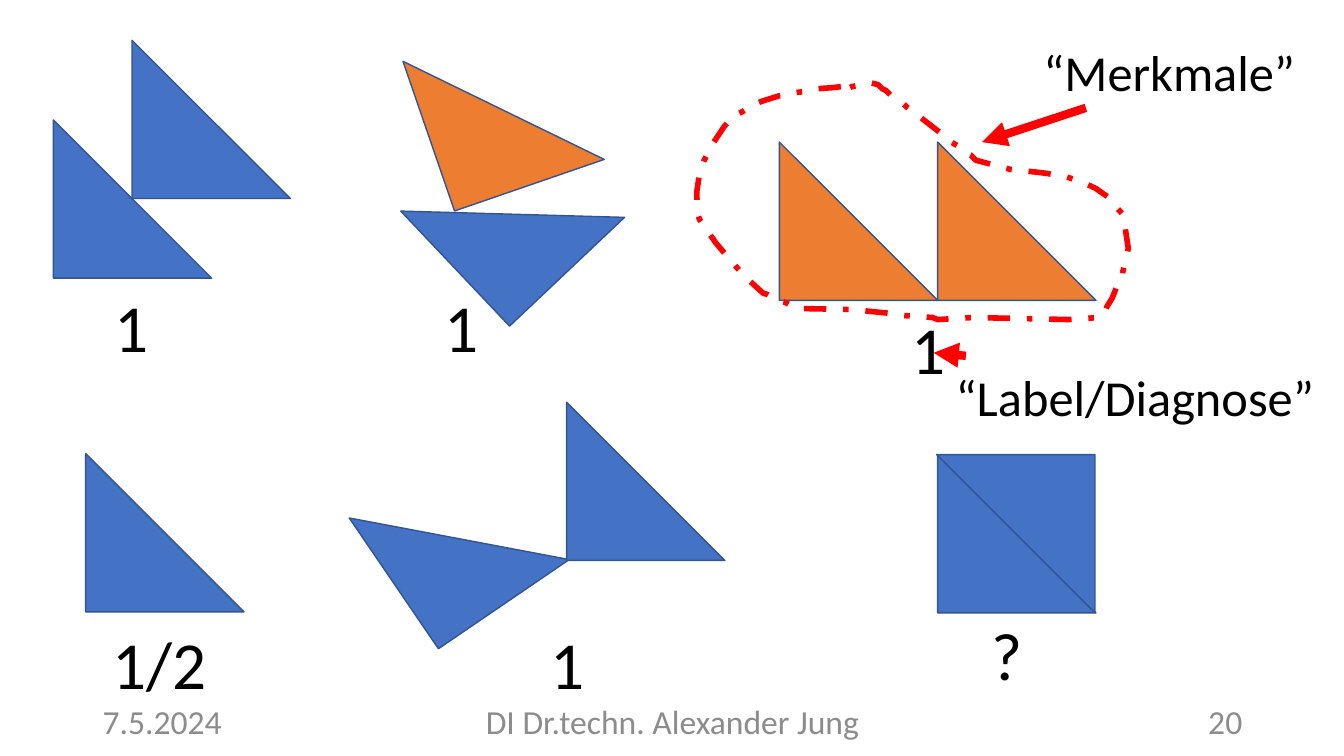
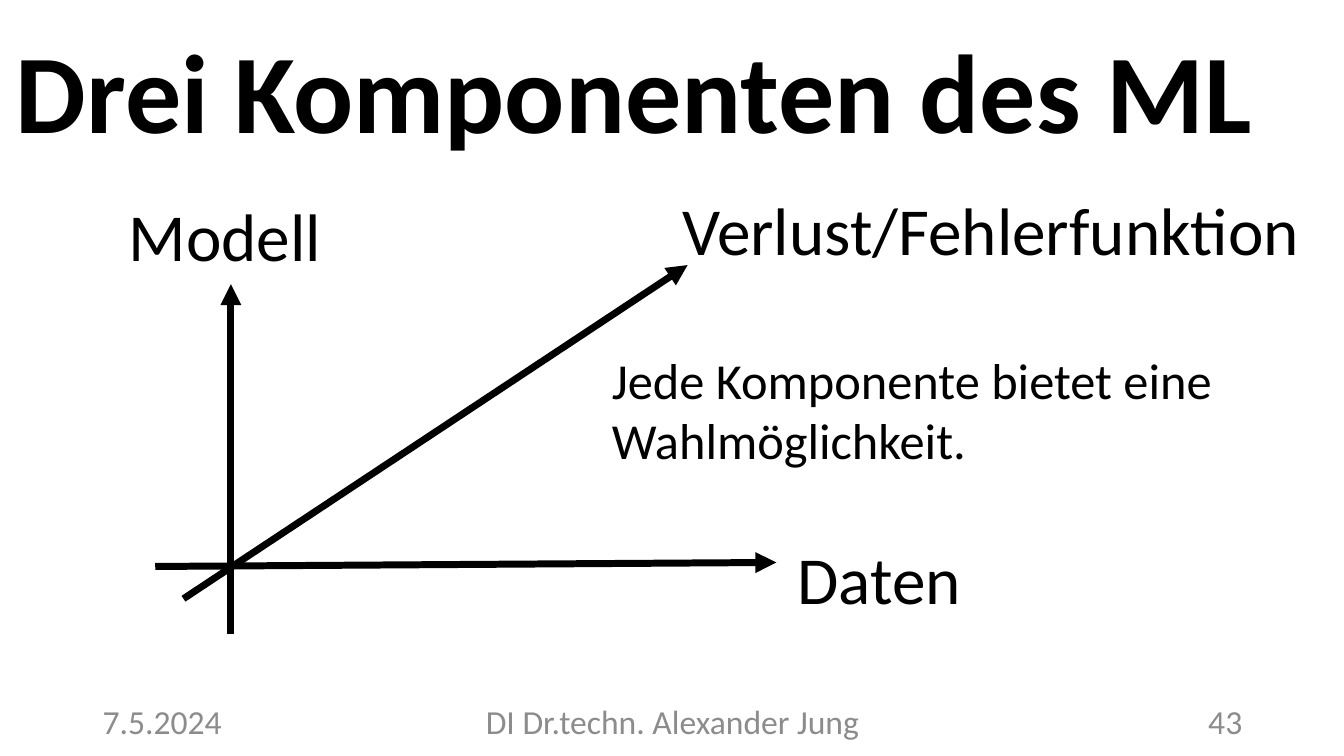
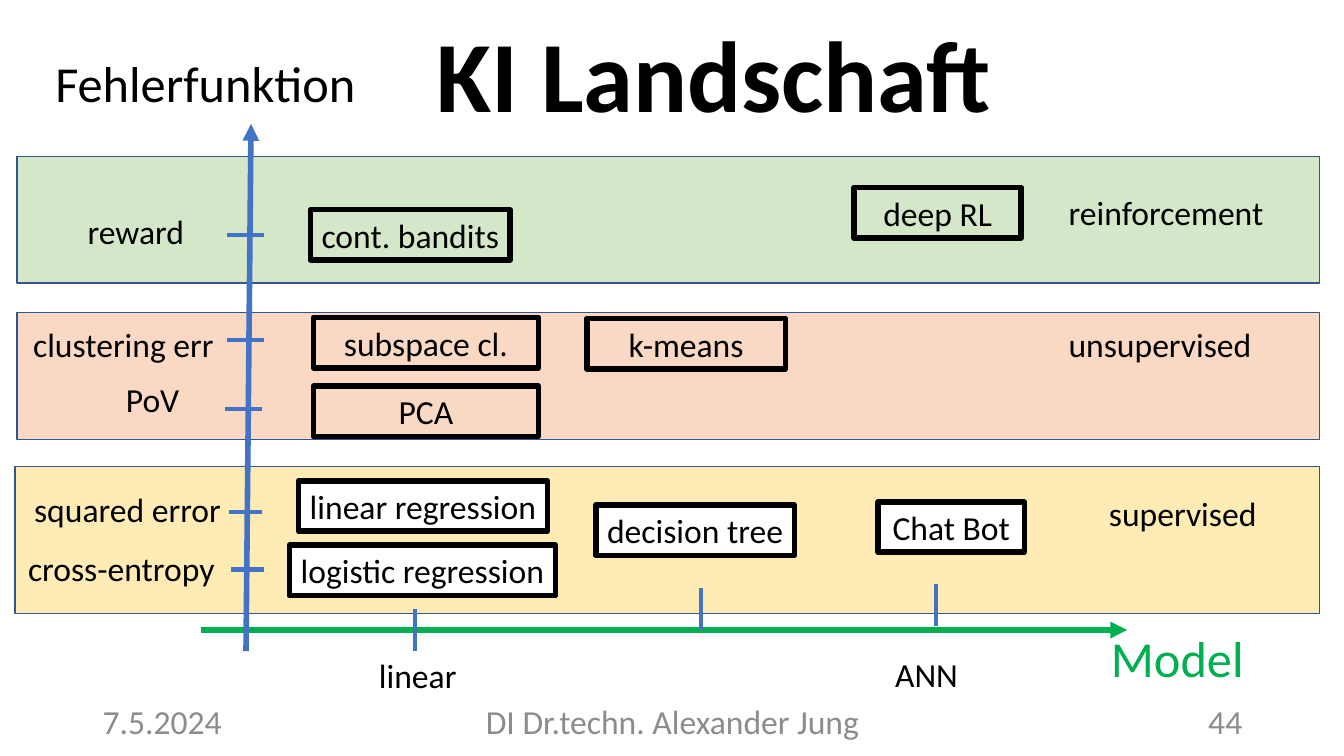
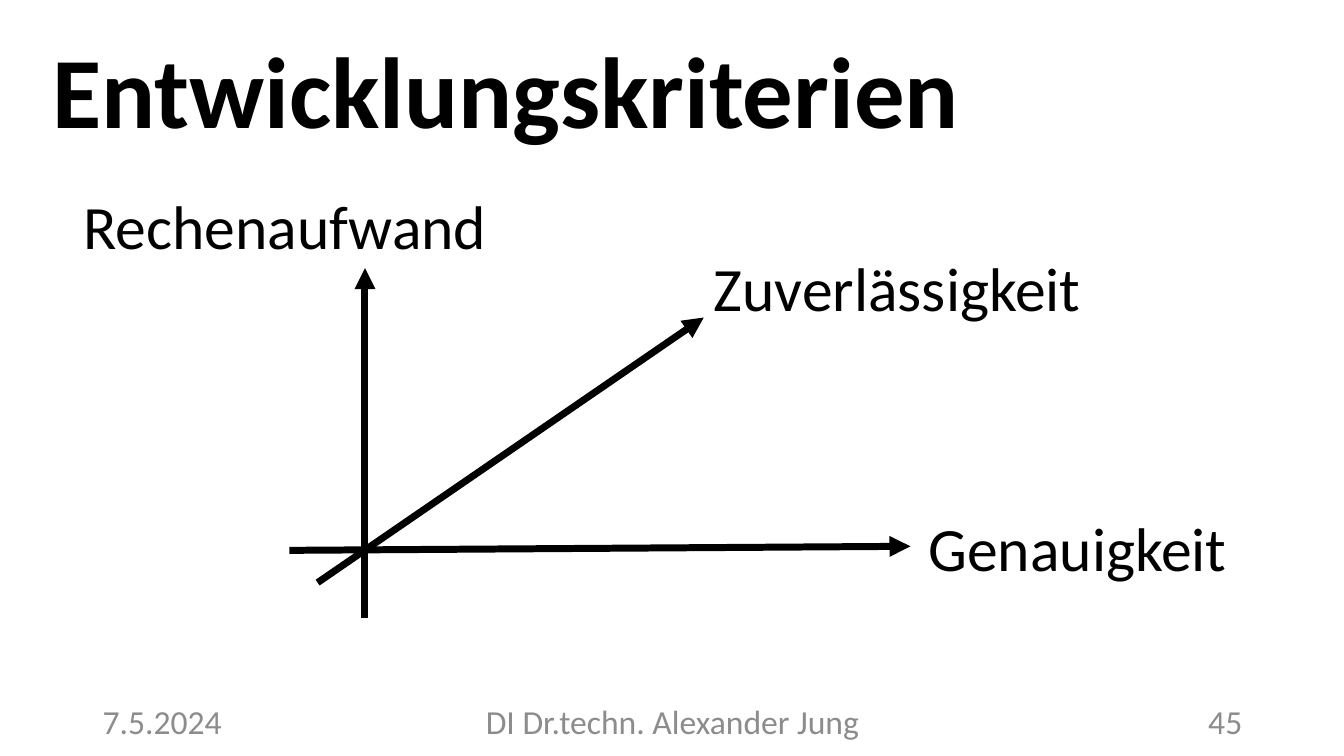
from lxml.etree import SubElement
from pptx import Presentation
from pptx.dml.color import RGBColor
from pptx.enum.dml import MSO_LINE
from pptx.enum.shapes import MSO_CONNECTOR, MSO_SHAPE
from pptx.enum.text import MSO_ANCHOR, MSO_AUTO_SIZE, PP_ALIGN
from pptx.oxml.ns import qn
from pptx.util import Pt

PX = 9144
FONT = "Calibri"
BLACK, WHITE, GRAY = "000000", "FFFFFF", "8C8C8C"
BLUE, ORANGE, EDGE = "4472C4", "ED7D31", "325491"
RED, GREEN = "FF0000", "00B050"
LEFT, CENTER, RIGHT = PP_ALIGN.LEFT, PP_ALIGN.CENTER, PP_ALIGN.RIGHT
TOP, MIDDLE = MSO_ANCHOR.TOP, MSO_ANCHOR.MIDDLE
GROW, FIXED = MSO_AUTO_SIZE.SHAPE_TO_FIT_TEXT, MSO_AUTO_SIZE.NONE
RECT, TRIANGLE = MSO_SHAPE.RECTANGLE, MSO_SHAPE.RIGHT_TRIANGLE
STRAIGHT, DASHDOT = MSO_CONNECTOR.STRAIGHT, MSO_LINE.DASH_DOT
SIDE = 157

CLOUD = [
    (834, 86), (825, 87), (811, 88), (804, 90), (788, 92), (784, 94),
    (773, 95), (757, 100), (749, 103), (736, 111), (727, 115), (718, 126),
    (706, 144), (698, 160), (696, 165), (694, 171), (691, 191), (692, 213),
    (694, 218), (710, 241), (721, 254), (740, 276), (745, 280), (757, 291),
    (761, 292), (768, 296), (772, 298), (779, 300), (784, 303), (788, 306),
    (844, 307), (884, 311), (896, 313), (925, 315), (930, 317), (965, 315),
    (1060, 317), (1090, 315), (1096, 309), (1098, 304), (1103, 296),
    (1107, 286), (1108, 282), (1113, 273), (1114, 268), (1115, 264),
    (1117, 257), (1118, 253), (1119, 246), (1114, 213), (1104, 202),
    (1100, 196), (1094, 192), (1087, 187), (1072, 180), (1056, 175),
    (1038, 172), (1030, 171), (1002, 168), (968, 159), (963, 154),
    (958, 152), (952, 146), (942, 140), (933, 132), (906, 111), (899, 106),
    (895, 102), (888, 98), (883, 94), (879, 90), (875, 88), (871, 84),
    (863, 82), (845, 86), (840, 88),
]


def rgb(code):
    """Turn a hex string into a colour."""
    return RGBColor.from_string(code)


def emu(*nums):
    """Turn px into EMU."""
    return [round(n * PX) for n in nums]


def write(shape, words, size, color=BLACK, align=LEFT, anchor=TOP,
          wrap=False, bold=False, fit=FIXED):
    """Put one formatted paragraph into a shape and return it."""
    frame = shape.text_frame
    frame.text = words
    frame.word_wrap = wrap
    frame.auto_size = fit
    frame.vertical_anchor = anchor
    para = frame.paragraphs[0]
    para.alignment = align
    font = para.runs[0].font
    font.name, font.size, font.bold = FONT, Pt(size), bold
    font.color.rgb = rgb(color)
    return para


def label(slide, words, x, y, w, size=24, color=BLACK):
    """Add a one-line text that fits its box."""
    h = {24: 50, 36: 71, 44: 84, 48: 91}[size]
    box = slide.shapes.add_textbox(*emu(x, y, w, h))
    write(box, words, size, color, fit=GROW)


def title(slide, words, x, y, w, h, size=72):
    """Add the bold slide title."""
    box = slide.shapes.add_textbox(*emu(x, y, w, h))
    para = write(box, words, size, anchor=MIDDLE, wrap=True, bold=True)
    para.line_spacing = 0.9


def footer(slide, page):
    """Add date, author and page number."""
    for words, x, w, align in (
        ("7.5.2024", 92, 300, LEFT),
        ("DI Dr.techn. Alexander Jung", 442, 450, CENTER),
        (str(page), 942, 300, RIGHT),
    ):
        box = slide.shapes.add_textbox(*emu(x, 695, w, 40))
        write(box, words, 24, GRAY, align, MIDDLE, True)


def form(slide, kind, x, y, w, h, fill=None, edge=EDGE, width=1):
    """Add a preset shape with flat fill and outline."""
    shape = slide.shapes.add_shape(kind, *emu(x, y, w, h))
    shape.shadow.inherit = False
    if fill:
        shape.fill.solid()
        shape.fill.fore_color.rgb = rgb(fill)
    else:
        shape.fill.background()
    shape.line.color.rgb = rgb(edge)
    shape.line.width = Pt(width)
    return shape


def line(slide, start, end, color, width, head=False):
    """Add a straight line, with an arrowhead on request."""
    link = slide.shapes.add_connector(STRAIGHT, *emu(*start, *end))
    link.line.color.rgb = rgb(color)
    link.line.width = Pt(width)
    props = link._element.spPr
    if head:
        SubElement(props.find(qn("a:ln")), qn("a:tailEnd"), type="triangle")
    SubElement(props, qn("a:effectLst"))


def axes(slide, x, y, tip):
    """Draw three arrows that cross at x, y."""
    for start, end in (
        ((x, y + 67), (x, y - 280)),
        ((x - 75, y), (x + 541, y - 4)),
        ((x - 47, y + 32), tip),
    ):
        line(slide, start, end, BLACK, 5, True)


def band(slide, x, y, w, h, color, name, errors, cards, fill=None):
    """Draw one kind of learning with its errors and methods."""
    back = form(slide, RECT, x, y, w, h, color)
    tint = back._element.spPr.find(qn("a:solidFill")).find(qn("a:srgbClr"))
    SubElement(tint, qn("a:alpha"), val="29000")
    for words, left, top, wide in [name] + [e[0] for e in errors]:
        label(slide, words, x + left, y + top, wide)
    for _, (left, top, wide) in errors:
        start = (x + left, y + top)
        line(slide, start, (start[0] + wide, start[1]), BLUE, 3)
    for words, left, top, wide in cards:
        card = form(slide, RECT, x + left, y + top, wide, 50, fill, BLACK, 4)
        write(card, words, 24, align=CENTER, anchor=MIDDLE)


def shapes(slide):
    """Build the slide of triangles and their labels."""
    for x, y, turn, fill in (
        (53, 119, 0, BLUE), (131, 40, 0, BLUE),
        (430, 134, 316.6, BLUE), (421, 31, 341, ORANGE),
        (773, 141, 0, ORANGE), (930, 141, 0, ORANGE),
        (85, 450, 0, BLUE),
        (377, 456, 325.7, BLUE), (562, 399, 0, BLUE),
        (930, 451, 0, BLUE), (929, 451, 180, BLUE),
    ):
        form(slide, TRIANGLE, x, y, SIDE, SIDE, fill).rotation = turn
    for words, x, y, w in (
        ("1", 104, 278, 54), ("1", 431, 278, 54), ("1", 894, 300, 54),
        ("1/2", 102, 612, 115), ("1", 536, 612, 54), ("?", 974, 604, 51),
    ):
        label(slide, words, x, y, w, 48)
    pen = slide.shapes.build_freeform(*CLOUD[0], scale=PX)
    pen.add_line_segments(CLOUD[1:], close=False)
    cloud = pen.convert_to_shape()
    cloud.shadow.inherit = False
    cloud.fill.background()
    cloud.line.color.rgb = rgb(RED)
    cloud.line.width = Pt(4)
    cloud.line.dash_style = DASHDOT
    label(slide, "“Merkmale”", 1025, 36, 272, 36)
    line(slide, (1077, 107), (974, 141), RED, 6, True)
    label(slide, "“Label/Diagnose”", 938, 358, 379, 36)
    line(slide, (958, 353), (926, 350), RED, 6, True)


def parts(slide):
    """Build the slide of the three components."""
    title(slide, "Drei Komponenten des ML", 6, 9, 1267, 174, 80)
    note = slide.shapes.add_textbox(*emu(597, 341, 645, 131))
    write(note, "Jede Komponente bietet eine Wahlmöglichkeit.", 36, wrap=True)
    axes(slide, 229, 562, (682, 263))
    label(slide, "Daten", 781, 528, 184, 48)
    label(slide, "Modell", 118, 188, 213, 48)
    label(slide, "Verlust/Fehlerfunktion", 667, 182, 639, 48)


def chart(slide):
    """Build the map of methods by model and loss."""
    title(slide, "KI Landschaft", 423, -8, 789, 174)
    band(slide, 17, 155, 1292, 126, "70AD47",
         ("reinforcement", 1033, 30, 215),
         [(("reward", 60, 49, 117), (208, 78, 37))],
         [("cont. bandits", 291, 53, 198), ("deep RL", 830, 31, 166)])
    band(slide, 17, 310, 1292, 126, ORANGE,
         ("unsupervised", 1033, 6, 204),
         [(("clustering err", 6, 6, 202), (208, 27, 37)),
          (("PoV", 98, 61, 74), (206, 96, 37))],
         [("subspace cl.", 294, 5, 223), ("PCA", 294, 73, 223),
          ("k-means", 565, 6, 197)])
    band(slide, 15, 463, 1294, 146, "FFC000",
         ("supervised", 1075, 21, 168),
         [(("squared error", 9, 17, 207), (212, 45, 33)),
          (("cross-entropy", 3, 76, 207), (214, 102, 33))],
         [("linear regression", 281, 14, 247),
          ("logistic regression", 272, 78, 264),
          ("decision tree", 576, 38, 197), ("Chat Bot", 856, 35, 145)],
         WHITE)
    line(slide, (199, 625), (1118, 625), GREEN, 4, True)
    line(slide, (244, 646), (249, 123), BLUE, 4, True)
    for x, y in ((412, 604), (695, 583), (928, 579)):
        line(slide, (x, y), (x, y + 42), BLUE, 3)
    label(slide, "linear", 366, 645, 98)
    label(slide, "ANN", 878, 644, 83)
    label(slide, "Model", 1092, 617, 153, 36, GREEN)
    label(slide, "Fehlerfunktion", 45, 47, 321, 36)


def goals(slide):
    """Build the slide of development criteria."""
    title(slide, "Entwicklungskriterien", 42, 23, 1150, 145)
    label(slide, "Rechenaufwand", 73, 182, 424, 44)
    label(slide, "Genauigkeit", 911, 501, 330, 44)
    label(slide, "Zuverlässigkeit", 698, 243, 388, 44)
    axes(slide, 362, 546, (698, 315))


def main():
    """Build and save the four slides."""
    deck = Presentation()
    deck.slide_width, deck.slide_height = emu(1333, 750)
    blank = deck.slide_layouts[6]
    for build, page in ((shapes, 20), (parts, 43), (chart, 44), (goals, 45)):
        slide = deck.slides.add_slide(blank)
        build(slide)
        footer(slide, page)
    deck.save("out.pptx")


if __name__ == "__main__":
    main()
